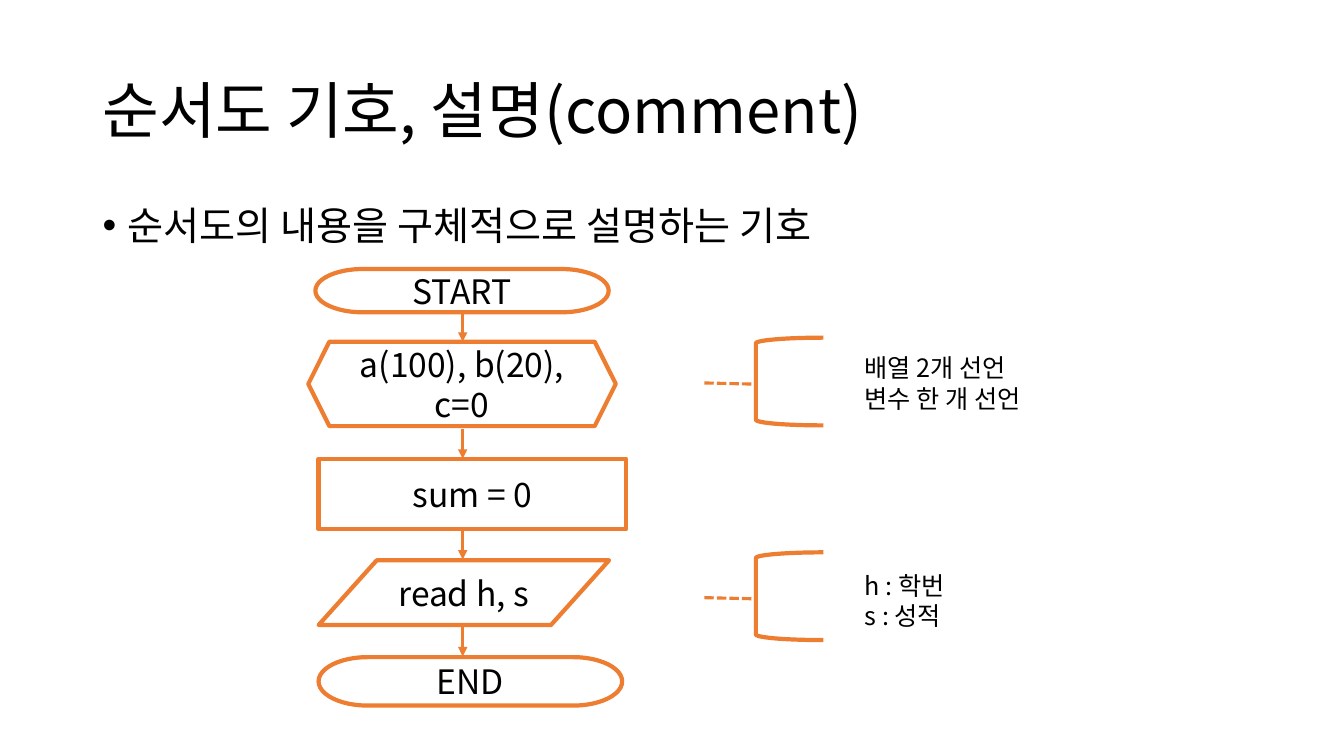
"""Build a slide on the flowchart comment symbol."""
from lxml.etree import SubElement
from pptx import Presentation
from pptx.dml.color import RGBColor
from pptx.enum.dml import MSO_LINE
from pptx.enum.shapes import MSO_CONNECTOR, MSO_SHAPE
from pptx.enum.text import MSO_ANCHOR, MSO_AUTO_SIZE, PP_ALIGN
from pptx.oxml.ns import qn
from pptx.util import Cm, Pt

ORANGE = RGBColor(0xED, 0x7D, 0x31)
WHITE = RGBColor(0xFF, 0xFF, 0xFF)
BLACK = RGBColor(0x00, 0x00, 0x00)
FONT = "Noto Sans CJK KR"


def write(tf, text, size=24, align=PP_ALIGN.LEFT, anchor=MSO_ANCHOR.TOP,
          spacing=None, before=0, wrap=True):
    """Fill a text frame, one paragraph for each line of text."""
    tf.auto_size = MSO_AUTO_SIZE.NONE
    tf.word_wrap = wrap
    tf.vertical_anchor = anchor
    for i, line in enumerate(text.split("\n")):
        p = tf.add_paragraph() if i else tf.paragraphs[0]
        p.alignment = align
        p.line_spacing = spacing
        p.space_before = Pt(before)
        r = p.add_run()
        r.text = line
        r.font.size = Pt(size)
        r.font.name = FONT
        r.font.color.rgb = BLACK
        SubElement(r.font._element, qn("a:ea"), typeface=FONT)
    return tf


class FlowSlide:
    """Hold the flowchart style and the slide being drawn."""

    def __init__(self, prs):
        """Add a title and content slide."""
        self.s = prs.slides.add_slide(prs.slide_layouts[1])
        self.color = ORANGE
        self.shape_width = Pt(3)
        self.line_width = Pt(2.25)

    def place(self, sp, x, y, w, h):
        """Move and resize a placeholder."""
        sp.left, sp.top, sp.width, sp.height = Cm(x), Cm(y), Cm(w), Cm(h)
        return sp.text_frame

    def title(self, text):
        """Write the slide title."""
        tf = self.place(self.s.shapes.title, 2.33, 1.02, 29.21, 3.68)
        write(tf, text, size=44, anchor=MSO_ANCHOR.MIDDLE, spacing=0.9)

    def body(self, text):
        """Write the bulleted list."""
        tf = self.place(self.s.placeholders[1], 2.33, 5.08, 29.21, 12.09)
        write(tf, text, size=28, spacing=0.9, before=10)
        for p in tf.paragraphs:
            pPr = p._p.get_or_add_pPr()
            pPr.set("marL", str(Cm(0.64)))
            pPr.set("indent", str(-Cm(0.64)))
            SubElement(pPr, qn("a:buChar"), char="•")

    def outline(self, shapes, kind, x, y, w, h):
        """Add a shape with the orange outline."""
        sp = shapes.add_shape(kind, Cm(x), Cm(y), Cm(w), Cm(h))
        sp.shadow.inherit = False
        sp.line.color.rgb = self.color
        sp.line.width = self.shape_width
        return sp

    def step(self, kind, text, x, y, w, h):
        """Add a flowchart symbol with its label."""
        sp = self.outline(self.s.shapes, kind, x, y, w, h)
        sp.fill.solid()
        sp.fill.fore_color.rgb = WHITE
        write(sp.text_frame, text, align=PP_ALIGN.CENTER, anchor=MSO_ANCHOR.MIDDLE)

    def line(self, shapes, x1, y1, x2, y2, dash=None, arrow=False):
        """Add a straight line, dashed or with an arrowhead on request."""
        c = shapes.add_connector(MSO_CONNECTOR.STRAIGHT, Cm(x1), Cm(y1), Cm(x2), Cm(y2))
        c.line.color.rgb = self.color
        c.line.width = self.line_width
        if dash:
            c.line.dash_style = dash
        spPr = c._element.spPr
        if arrow:
            SubElement(spPr.find(qn("a:ln")), qn("a:tailEnd"), type="triangle")
        SubElement(spPr, qn("a:effectLst"))

    def comment(self, text, y, text_y, text_w):
        """Add a comment symbol and the note beside it."""
        shapes = self.s.shapes.add_group_shape().shapes
        sp = self.outline(shapes, MSO_SHAPE.LEFT_BRACKET, 19.05, y, 1.7, 2.21)
        sp.fill.background()
        self.line(shapes, 17.75, y + 1.14, 19.05, y + 1.17, dash=MSO_LINE.SQUARE_DOT)
        tb = self.s.shapes.add_textbox(Cm(21.54), Cm(text_y), Cm(text_w), Cm(1.8))
        tf = write(tb.text_frame, text, size=18, wrap=False)
        tf.auto_size = MSO_AUTO_SIZE.SHAPE_TO_FIT_TEXT


def main():
    """Draw the slide and save it."""
    prs = Presentation()
    prs.slide_width, prs.slide_height = Cm(33.87), Cm(19.05)
    flow = FlowSlide(prs)
    flow.title("순서도 기호, 설명(comment)")
    flow.body("순서도의 내용을 구체적으로 설명하는 기호")

    steps = [
        (MSO_SHAPE.FLOWCHART_TERMINATOR, "START", 7.95, 6.78, 7.39, 1.09),
        (MSO_SHAPE.HEXAGON, "a(100), b(20), c=0", 7.77, 8.61, 7.75, 2.13),
        (MSO_SHAPE.RECTANGLE, "sum = 0", 8.03, 11.56, 7.75, 1.78),
        (MSO_SHAPE.FLOWCHART_DATA, "read h, s", 8.03, 14.12, 7.32, 1.63),
        (MSO_SHAPE.FLOWCHART_TERMINATOR, "END", 8.03, 16.56, 7.65, 1.22),
    ]
    for step in steps:
        flow.step(*step)
    for top, bottom in [(7.87, 8.61), (10.82, 11.56), (13.28, 14.1), (15.8, 16.54)]:
        flow.line(flow.s.shapes, 11.66, top, 11.66, bottom, arrow=True)

    flow.comment("배열 2개 선언\n변수 한 개 선언", 8.51, 8.76, 5.03)
    flow.comment("h : 학번\ns : 성적", 13.92, 14.25, 2.77)
    prs.save("out.pptx")


if __name__ == "__main__":
    main()
